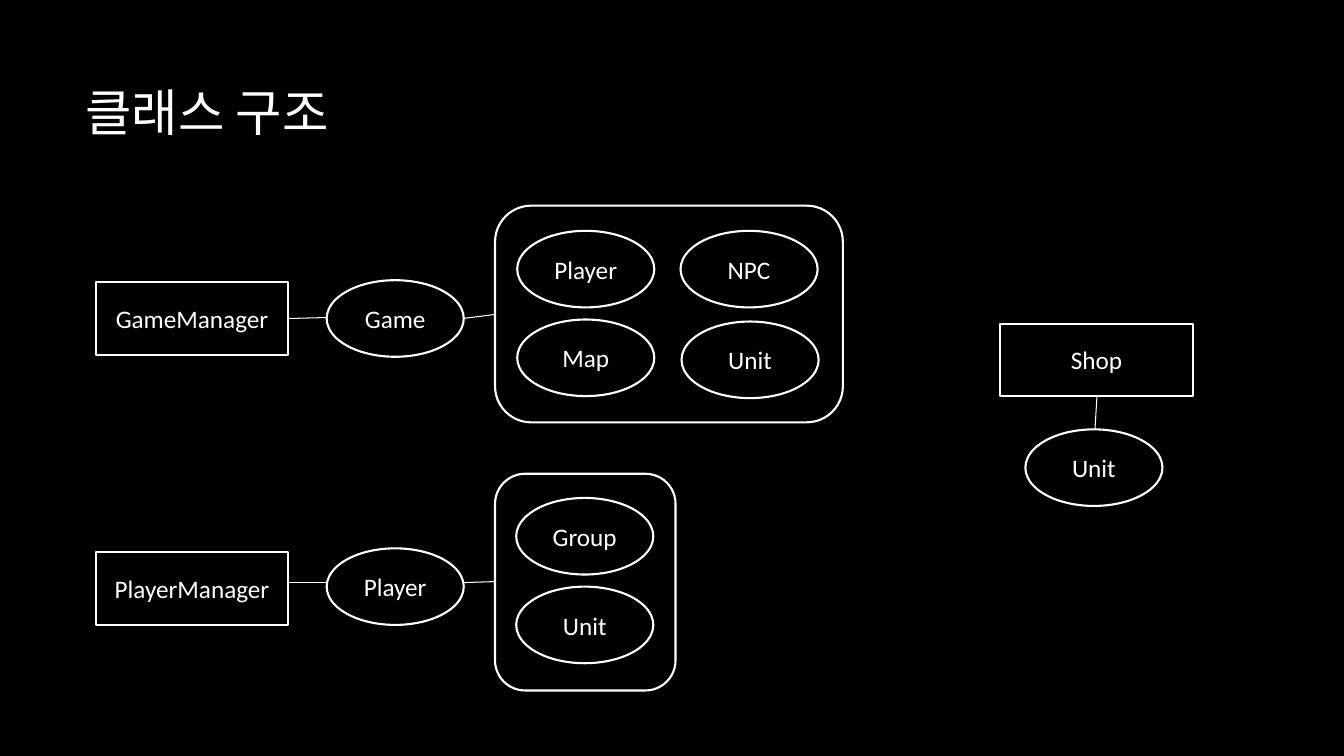
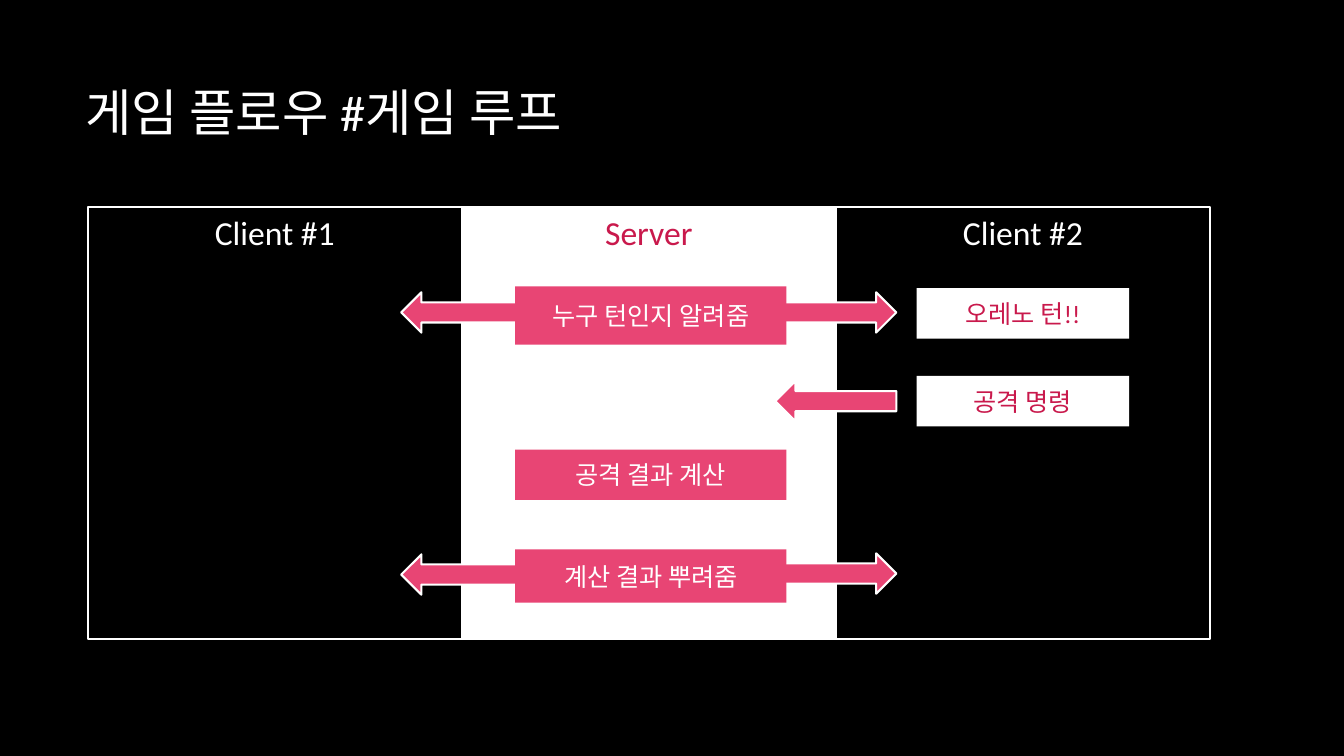
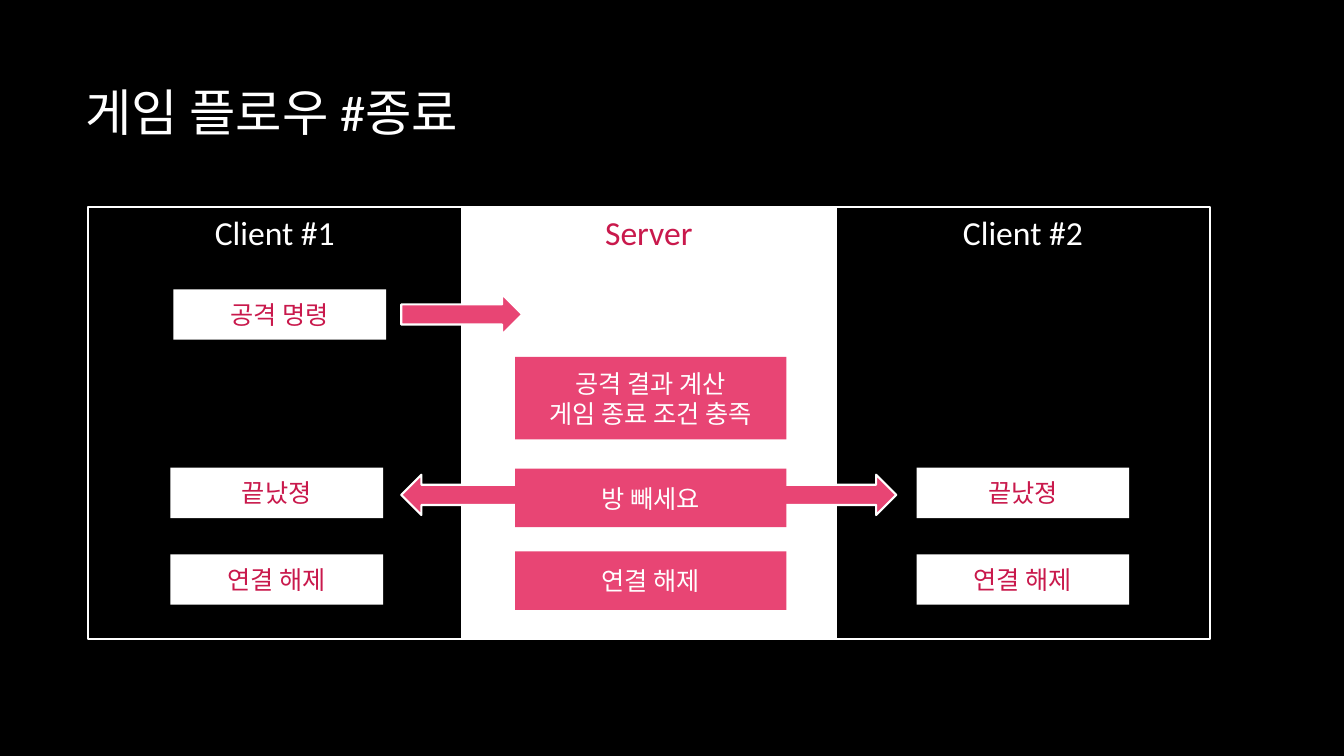
from pptx import Presentation
from pptx.dml.color import RGBColor
from pptx.enum.shapes import MSO_CONNECTOR, MSO_SHAPE
from pptx.enum.text import MSO_ANCHOR, PP_ALIGN
from pptx.oxml.ns import qn
from pptx.util import Inches, Pt
from lxml.etree import SubElement

HUES = {"black": "000000", "white": "FFFFFF", "pink": "E84574", "red": "C9194C"}
FONT = "Calibri"

# Class diagram sizes
BOX = (1.91, 0.72)
OVAL = (1.36, 0.76)

# Flow chart sizes: three lanes, with cards and arrows at fixed columns
LANE_X, LANE_Y, LANE_W, LANE_H = 0.87, 2.05, 3.71, 4.29
ARROW_X = {"one": 3.98, "two": 7.69}
CARD = {"one": (1.69, 2.11), "server": (5.11, 2.69), "two": (9.09, 2.11)}


def hue(name):
    return RGBColor.from_string(HUES[name])


def write(frame, text, size, color, align=PP_ALIGN.CENTER, anchor=MSO_ANCHOR.MIDDLE):
    frame.word_wrap = True
    frame.vertical_anchor = anchor
    frame.text = text
    for para in frame.paragraphs:
        para.alignment = align
        para.font.name = FONT
        para.font.size = Pt(size)
        para.font.color.rgb = hue(color)


def add_page(prs, title):
    slide = prs.slides.add_slide(prs.slide_layouts[6])
    slide.background.fill.solid()
    slide.background.fill.fore_color.rgb = hue("black")
    box = slide.shapes.add_textbox(Inches(0.75), Inches(0.67), Inches(11.08), Inches(0.86))
    write(box.text_frame, title, 36, "white", PP_ALIGN.LEFT)
    return slide


def add_shape(slide, kind, x, y, w, h, fill=None, line=None):
    shape = slide.shapes.add_shape(kind, Inches(x), Inches(y), Inches(w), Inches(h))
    shape.shadow.inherit = False
    if fill:
        shape.fill.solid()
        shape.fill.fore_color.rgb = hue(fill)
    else:
        shape.fill.background()
    if line:
        shape.line.color.rgb = hue(line)
        shape.line.width = Pt(1.5)
    else:
        shape.line.fill.background()
    return shape


def add_node(slide, kind, size, x, y, text):
    node = add_shape(slide, kind, x, y, *size, line="white")
    write(node.text_frame, text, 18, "white")


def add_link(slide, x1, y1, x2, y2):
    link = slide.shapes.add_connector(
        MSO_CONNECTOR.STRAIGHT, Inches(x1), Inches(y1), Inches(x2), Inches(y2))
    link.line.color.rgb = hue("white")
    link.line.width = Pt(0.75)
    SubElement(link._element.spPr, qn("a:effectLst"))


def add_lanes(slide):
    lanes = [("Client #1", None, "white"), ("Server", "white", "red"),
             ("Client #2", None, "white")]
    for i, (text, fill, color) in enumerate(lanes):
        lane = add_shape(slide, MSO_SHAPE.RECTANGLE, LANE_X + i * LANE_W, LANE_Y,
                         LANE_W, LANE_H, fill, "white")
        write(lane.text_frame, text, 24, color, anchor=MSO_ANCHOR.TOP)


def add_arrow(slide, lane, way, y):
    kind = MSO_SHAPE.LEFT_ARROW if way == "left" else MSO_SHAPE.RIGHT_ARROW
    add_shape(slide, kind, ARROW_X[lane], y, 1.2, 0.4, "pink", "white")


def add_card(slide, lane, y, h, text, shift=0):
    x, w = CARD[lane]
    fill, color = ("pink", "white") if lane == "server" else ("white", "red")
    card = add_shape(slide, MSO_SHAPE.RECTANGLE, x + shift, y, w, h, fill)
    write(card.text_frame, text, 18, color)


def add_class(prs):
    slide = add_page(prs, "클래스 구조")
    # Managers
    for x, y, text in [(0.95, 2.8, "GameManager"), (0.95, 5.48, "PlayerManager"),
                       (9.92, 3.21, "Shop")]:
        add_node(slide, MSO_SHAPE.RECTANGLE, BOX, x, y, text)
    # Classes
    for x, y, text in [
        (3.24, 2.78, "Game"), (3.24, 5.44, "Player"),
        (5.13, 2.29, "Player"), (6.75, 2.29, "NPC"),
        (5.13, 3.17, "Map"), (6.76, 3.19, "Unit"),
        (5.12, 4.94, "Group"), (5.12, 5.82, "Unit"),
        (10.17, 4.26, "Unit"),
    ]:
        add_node(slide, MSO_SHAPE.OVAL, OVAL, x, y, text)
    # Frames round the members
    for y, w in [(2.04, 3.45), (4.7, 1.79)]:
        add_shape(slide, MSO_SHAPE.ROUNDED_RECTANGLE, 4.91, y, w, 2.15, line="white")
    # Links
    for ends in [(2.86, 3.16, 3.24, 3.15), (4.59, 3.16, 4.91, 3.12),
                 (2.86, 5.78, 3.24, 5.78), (4.59, 5.78, 4.91, 5.77),
                 (10.88, 3.93, 10.86, 4.26)]:
        add_link(slide, *ends)


def add_flow(prs, title, arrows, cards):
    slide = add_page(prs, title)
    add_lanes(slide)
    for arrow in arrows:
        add_arrow(slide, *arrow)
    for card in cards:
        add_card(slide, *card)


def main():
    prs = Presentation()
    prs.slide_width, prs.slide_height = Inches(13.33), Inches(7.5)
    add_class(prs)
    # Game loop
    add_flow(
        prs, "게임 플로우 #게임 루프",
        [("one", "left", 2.9), ("two", "right", 2.9), ("two", "left", 3.78),
         ("one", "left", 5.5), ("two", "right", 5.49)],
        [("server", 2.84, 0.58, "누구 턴인지 알려줌"),
         ("two", 2.86, 0.5, "오레노 턴!!"),
         ("two", 3.73, 0.5, "공격 명령"),
         ("server", 4.46, 0.5, "공격 결과 계산"),
         ("server", 5.45, 0.53, "계산 결과 뿌려줌")])
    # Game end
    add_flow(
        prs, "게임 플로우 #종료",
        [("one", "right", 2.92), ("one", "left", 4.71), ("two", "right", 4.71)],
        [("one", 2.87, 0.5, "공격 명령", 0.03),
         ("server", 3.54, 0.82, "공격 결과 계산\n게임 종료 조건 충족"),
         ("one", 4.64, 0.5, "끝났졍"),
         ("server", 4.65, 0.58, "방 빼세요"),
         ("two", 4.64, 0.5, "끝났졍"),
         ("one", 5.5, 0.5, "연결 해제"),
         ("server", 5.47, 0.58, "연결 해제"),
         ("two", 5.5, 0.5, "연결 해제")])
    prs.save("out.pptx")


if __name__ == "__main__":
    main()
